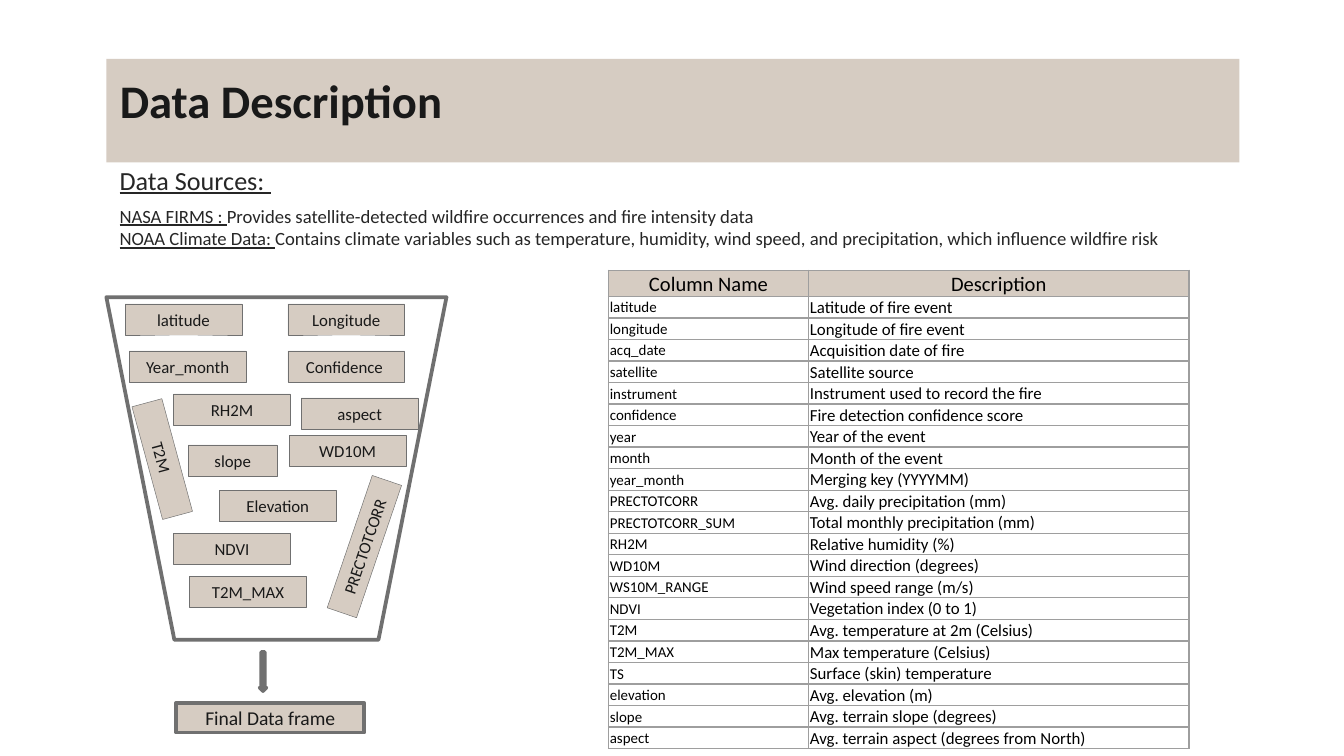
from dataclasses import dataclass

from lxml import etree
from pptx import Presentation
from pptx.dml.color import RGBColor
from pptx.enum.shapes import MSO_SHAPE
from pptx.enum.text import MSO_ANCHOR, MSO_AUTO_SIZE, PP_ALIGN
from pptx.oxml.ns import qn
from pptx.util import Pt

RECT = MSO_SHAPE.RECTANGLE
FUNNEL = MSO_SHAPE.FLOWCHART_MANUAL_OPERATION
DOWN_ARROW = MSO_SHAPE.DOWN_ARROW
TOP, MIDDLE, BOTTOM = MSO_ANCHOR.TOP, MSO_ANCHOR.MIDDLE, MSO_ANCHOR.BOTTOM
LEFT, CENTER = PP_ALIGN.LEFT, PP_ALIGN.CENTER
NO_FIT = MSO_AUTO_SIZE.NONE


@dataclass(frozen=True)
class Theme:
    font: str = "Calibri"
    sand: str = "D6CCC2"
    white: str = "FFFFFF"
    ink: str = "191919"
    body: str = "262626"
    black: str = "000000"
    outline: str = "707070"
    grid: str = "9E9E9E"
    title: float = 25
    heading: float = 14
    header: float = 11
    result: float = 10.5
    text: float = 10
    label: float = 9
    name: float = 8


THEME = Theme()

SOURCES = [
    ("NASA FIRMS : ", "Provides satellite-detected wildfire occurrences and fire intensity data"),
    ("NOAA Climate Data: ", "Contains climate variables such as temperature, humidity, wind speed, "
     "and precipitation, which influence wildfire risk"),
]

TAG_W, TAG_H = 62.6, 16.6
TAGS = [
    ("latitude", 10, 3.6, TAG_W, 0),
    ("Longitude", 97.2, 3.6, TAG_W, 0),
    ("Confidence ", 97.2, 28.8, TAG_W, 0),
    ("Year_month", 12.2, 28.8, TAG_W, 0),
    (" PRECTOTCORR ", 100.8, 125.3, 74.9, 288.8),
    ("RH2M", 36, 51.8, TAG_W, 0),
    ("WD10M", 97.9, 74.2, TAG_W, 0),
    ("NDVI", 36, 126.7, TAG_W, 0),
    ("T2M ", -1.4, 78.5, TAG_W, 74.8),
    ("Elevation", 60.5, 103.7, TAG_W, 0),
    ("slope", 43.9, 79.2, 47.5, 0),
    ("aspect", 104.4, 54, TAG_W, 0),
    ("T2M_MAX", 44.6, 149.8, TAG_W, 0),
]

COLUMNS = [
    ("Column Name", "Description"),
    ("latitude", "Latitude of fire event"),
    ("longitude", "Longitude of fire event"),
    ("acq_date", "Acquisition date of fire"),
    ("satellite", "Satellite source"),
    ("instrument", "Instrument used to record the fire"),
    ("confidence", "Fire detection confidence score"),
    ("year", "Year of the event"),
    ("month", "Month of the event"),
    ("year_month", "Merging key (YYYYMM)"),
    ("PRECTOTCORR", "Avg. daily precipitation (mm)"),
    ("PRECTOTCORR_SUM", "Total monthly precipitation (mm)"),
    ("RH2M", "Relative humidity (%)"),
    ("WD10M", "Wind direction (degrees)"),
    ("WS10M_RANGE", "Wind speed range (m/s)"),
    ("NDVI", "Vegetation index (0 to 1)"),
    ("T2M", "Avg. temperature at 2m (Celsius)"),
    ("T2M_MAX", "Max temperature (Celsius)"),
    ("TS", "Surface (skin) temperature"),
    ("elevation", "Avg. elevation (m)"),
    ("slope", "Avg. terrain slope (degrees)"),
    ("aspect", "Avg. terrain aspect (degrees from North)"),
]


def set_attrs(obj, **values):
    for key, value in values.items():
        setattr(obj, key, value)


def paint(fill, color):
    fill.solid()
    fill.fore_color.rgb = RGBColor.from_string(color)


def add_run(p, text, size, color, **style):
    r = p.add_run()
    r.text = text
    set_attrs(r.font, name=THEME.font, size=Pt(size), **style)
    r.font.color.rgb = RGBColor.from_string(color)


def add_shape(slide, kind, box, fill, line_width, text="", size=THEME.label):
    sp = slide.shapes.add_shape(kind, *map(Pt, box))
    sp.shadow.inherit = False
    paint(sp.fill, fill)
    paint(sp.line.fill, THEME.outline)
    sp.line.width = Pt(line_width)
    if text:
        tf = sp.text_frame
        set_attrs(tf, word_wrap=True, vertical_anchor=MIDDLE)
        p = tf.paragraphs[0]
        p.alignment = CENTER
        add_run(p, text, size, THEME.ink)
    return sp


def add_text_box(slide, box):
    tf = slide.shapes.add_textbox(*map(Pt, box)).text_frame
    tf.word_wrap = True
    return tf


def add_title(slide, box):
    sp = slide.shapes.title
    set_attrs(sp, **dict(zip(("left", "top", "width", "height"), map(Pt, box))))
    paint(sp.fill, THEME.sand)
    tf = sp.text_frame
    inset = Pt(7.2)
    set_attrs(tf, margin_left=inset, margin_top=inset, margin_right=inset, margin_bottom=inset,
              vertical_anchor=TOP, auto_size=NO_FIT, word_wrap=True)
    p = tf.paragraphs[0]
    p.alignment = LEFT
    add_run(p, "Data Description", THEME.title, THEME.ink, bold=True)


def add_sources(slide, box):
    x, y, w, h = box
    tf = add_text_box(slide, (x, y, w, 41))
    add_run(tf.paragraphs[0], "Data Sources: ", THEME.heading, THEME.body, underline=True)
    tf = add_text_box(slide, (x, y + 21.6, w, h - 21.6))
    for i, (source, detail) in enumerate(SOURCES):
        p = tf.add_paragraph() if i else tf.paragraphs[0]
        add_run(p, source, THEME.text, THEME.body, underline=True)
        add_run(p, detail, THEME.text, THEME.body, underline=False)


def add_funnel(slide, box):
    x, y, w, h = box
    add_shape(slide, FUNNEL, box, THEME.white, 2)
    for text, dx, dy, tag_w, angle in TAGS:
        sp = add_shape(slide, RECT, (x + dx, y + dy, tag_w, TAG_H), THEME.sand, 0.25, text)
        sp.rotation = angle
    add_shape(slide, DOWN_ARROW, (x + 82.1, y + h + 6.5, 3.6, 20.9), THEME.white, 2)
    add_shape(slide, RECT, (x + 37.4, y + h + 33.8, 100.8, 15.8), THEME.sand, 2,
              "Final Data frame", THEME.result)


def add_borders(cell):
    tc_pr = cell._tc.get_or_add_tcPr()
    for i, side in enumerate(("a:lnL", "a:lnR", "a:lnT", "a:lnB")):
        ln = etree.Element(qn(side), w=str(Pt(0.75)))
        fill = etree.SubElement(ln, qn("a:solidFill"))
        etree.SubElement(fill, qn("a:srgbClr"), val=THEME.grid)
        tc_pr.insert(i, ln)


def add_columns_table(slide, box):
    x, y, w, h = box
    header_h = 14
    row_h = (h - header_h) / (len(COLUMNS) - 1)
    table = slide.shapes.add_table(len(COLUMNS), 2, *map(Pt, box)).table
    set_attrs(table, first_row=False, horz_banding=False)
    name_w = 107.2
    for col, width in zip(table.columns, (name_w, w - name_w)):
        col.width = Pt(width)
    for i, texts in enumerate(COLUMNS):
        table.rows[i].height = Pt(row_h if i else header_h)
        sizes = (THEME.name, THEME.label) if i else (THEME.header, THEME.header)
        for j, (text, size) in enumerate(zip(texts, sizes)):
            cell = table.cell(i, j)
            set_attrs(cell, margin_left=Pt(0.7), margin_top=Pt(0.7), margin_right=Pt(0.7),
                      margin_bottom=Pt(0), vertical_anchor=MIDDLE if i and j == 0 else BOTTOM)
            paint(cell.fill, THEME.white if i else THEME.sand)
            add_borders(cell)
            p = cell.text_frame.paragraphs[0]
            p.alignment = LEFT if i else CENTER
            add_run(p, text, size, THEME.black, bold=False)


def main():
    prs = Presentation()
    set_attrs(prs, slide_width=Pt(720), slide_height=Pt(405))
    slide = prs.slides.add_slide(prs.slide_layouts[5])
    add_title(slide, (57, 31.5, 607, 55.5))
    add_sources(slide, (57, 84.4, 595, 65.4))
    add_funnel(slide, (57, 159.2, 182.2, 183.6))
    add_columns_table(slide, (326, 144.8, 311, 254.2))
    prs.save("out.pptx")


if __name__ == "__main__":
    main()
